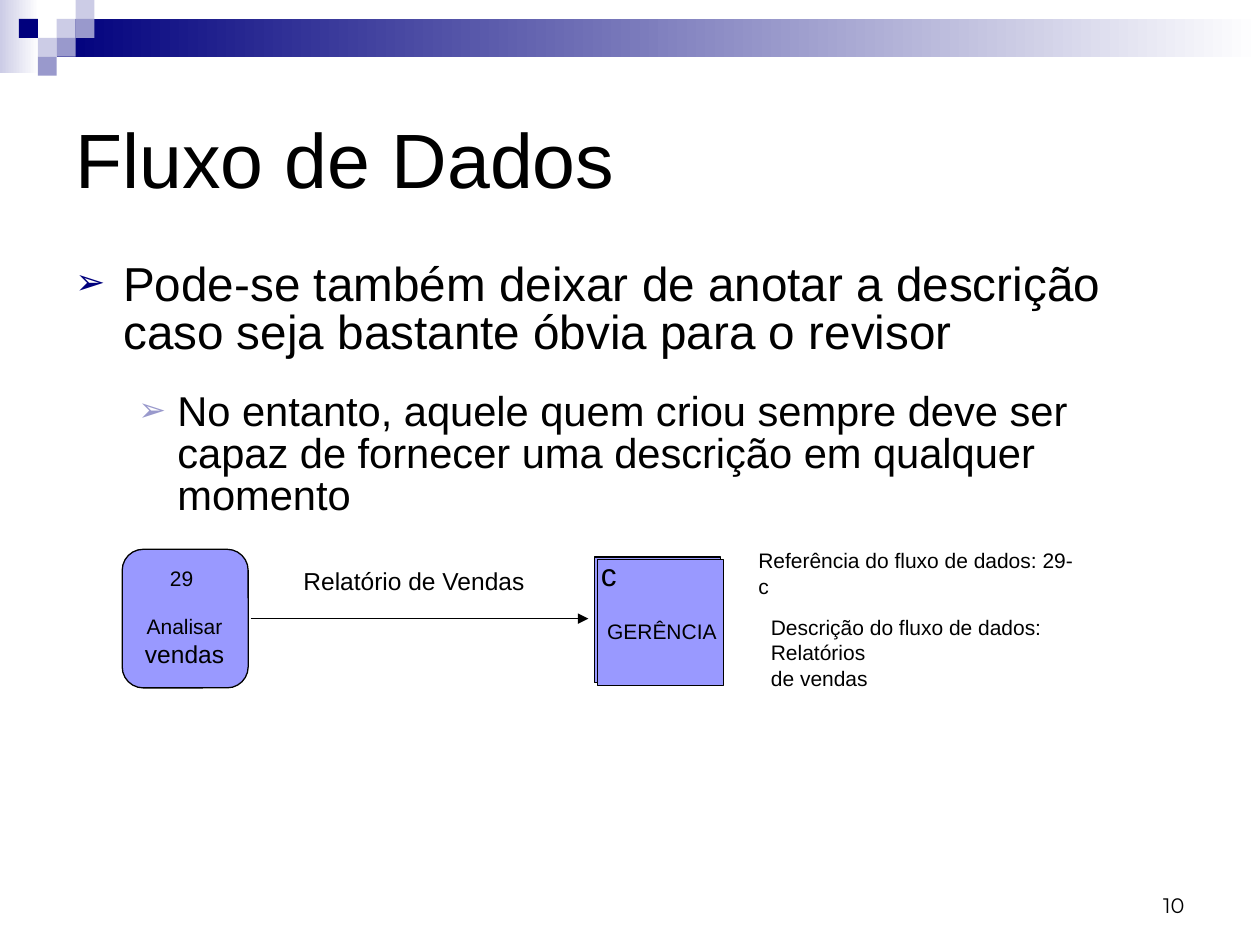
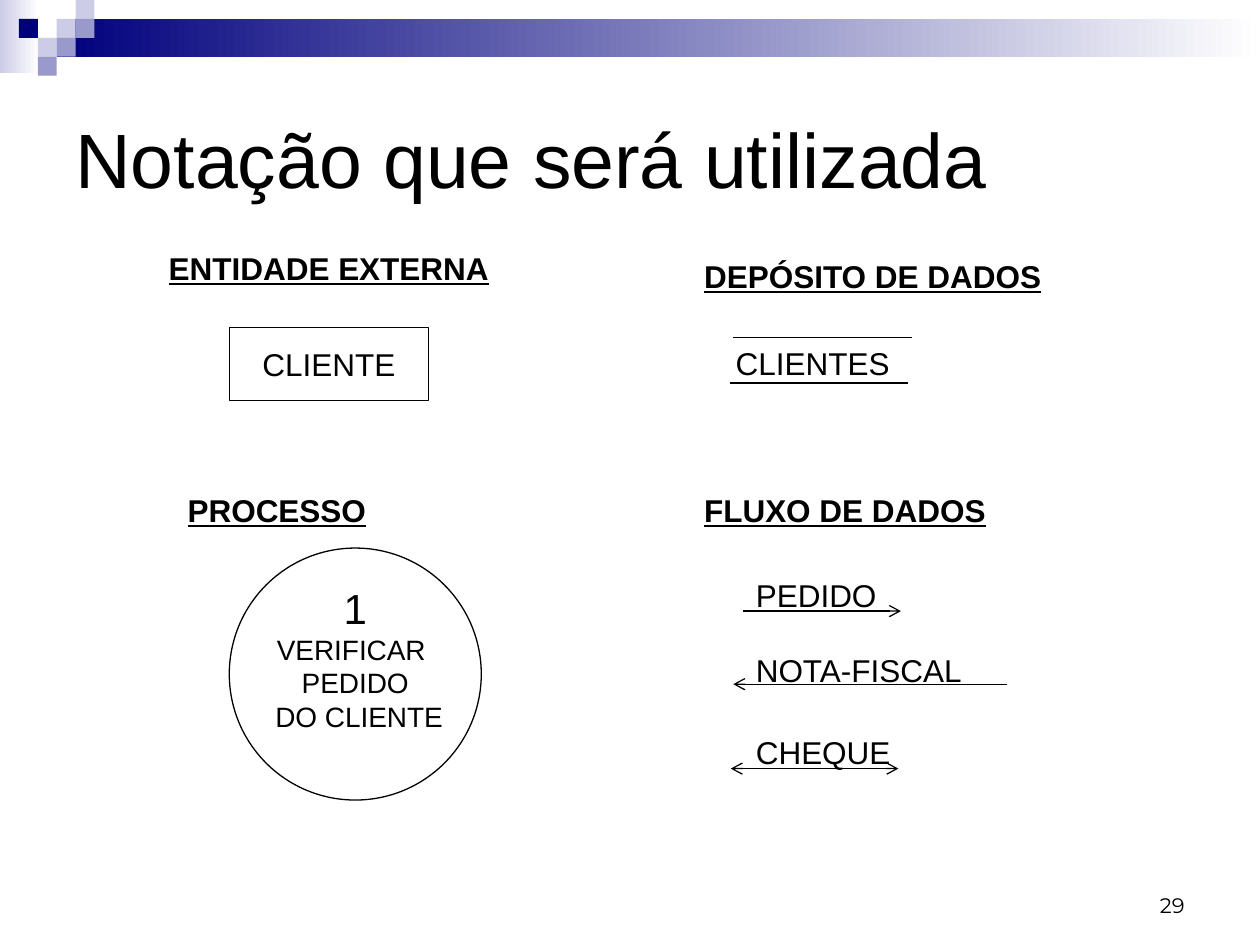
import lxml.etree
import pptx
import pptx.dml.color
import pptx.enum.shapes
import pptx.enum.text
import pptx.oxml.ns
import pptx.util

RGB = pptx.dml.color.RGBColor
NAVY = RGB(0x00, 0x00, 0x7D)
MID = RGB(0x99, 0x99, 0xCC)
PALE = RGB(0xCC, 0xCC, 0xE6)
LILAC = RGB(0x99, 0x99, 0xFF)
WHITE = RGB(0xFF, 0xFF, 0xFF)
BLACK = RGB(0x00, 0x00, 0x00)

COLS, ROWS = 100, 75
TILE = 1.5
TILES = [(3, 1, PALE), (4, 0, PALE), (4, 1, MID), (2, 2, PALE),
         (1, 1, NAVY), (3, 2, MID), (2, 3, MID)]

SHAPE = pptx.enum.shapes.MSO_SHAPE
ALIGN = pptx.enum.text.PP_ALIGN
ANCHOR = pptx.enum.text.MSO_ANCHOR


def add_tag(node, name, **attrs):
    return lxml.etree.SubElement(node, pptx.oxml.ns.qn(name), attrs)


class Deck:
    """Holds the style and the current slide; lengths are grid columns and rows."""

    font = "Arial"
    line = 0.75

    def __init__(self):
        self.file = pptx.Presentation()
        self.file.slide_width = pptx.util.Inches(10)
        self.file.slide_height = pptx.util.Inches(7.5)
        self.page = None

    def x(self, col):
        return round(self.file.slide_width * col / COLS)

    def y(self, row):
        return round(self.file.slide_height * row / ROWS)

    def area(self, col, row, wide, high):
        return self.x(col), self.y(row), self.x(wide), self.y(high)

    def start(self, title, number):
        self.page = self.file.slides.add_slide(self.file.slide_layouts[6])
        self.fade(0, 0, 3.1, 5.8, PALE)
        self.fade(4.5, 1.5, 95.5, 3, NAVY)
        for col, row, color in TILES:
            self.shape(col * TILE, row * TILE, TILE, TILE, color, edge=False)
        self.text(5, 5, 90, 15, [title], 44, anchor=ANCHOR.MIDDLE)
        self.text(71.7, 68.3, 23.3, 5, [number], 12, align=ALIGN.RIGHT,
                  anchor=ANCHOR.BOTTOM, font="Montserrat")

    def shape(self, col, row, wide, high, color, kind=SHAPE.RECTANGLE, edge=True):
        item = self.page.shapes.add_shape(kind, *self.area(col, row, wide, high))
        item.shadow.inherit = False
        item.fill.solid()
        item.fill.fore_color.rgb = color
        if edge:
            item.line.color.rgb = BLACK
            item.line.width = pptx.util.Pt(self.line)
        else:
            item.line.fill.background()
        return item

    def fade(self, col, row, wide, high, color):
        item = self.shape(col, row, wide, high, color, edge=False)
        item.fill.gradient()
        item.fill.gradient_angle = 0
        for stop, tone in zip(item.fill.gradient_stops, (color, WHITE)):
            stop.color.rgb = tone

    def run(self, para, words, size, bold=False, font=None):
        run = para.add_run()
        run.text = words
        run.font.size = pptx.util.Pt(size)
        run.font.name = font or self.font
        run.font.color.rgb = BLACK
        if bold:
            run.font.bold = run.font.underline = True

    def fill(self, item, lines, size, align=ALIGN.LEFT, anchor=ANCHOR.TOP,
             wrap=True, **style):
        """Each line is its words, or a pair of words and size."""
        frame = item.text_frame
        frame.word_wrap = wrap
        frame.vertical_anchor = anchor
        for i, entry in enumerate(lines):
            words, points = entry if isinstance(entry, tuple) else (entry, size)
            para = frame.add_paragraph() if i else frame.paragraphs[0]
            para.alignment = align
            self.run(para, words, points, **style)
        return frame

    def text(self, col, row, wide, high, lines, size, **style):
        item = self.page.shapes.add_textbox(*self.area(col, row, wide, high))
        return self.fill(item, lines, size, **style)

    def list(self, col, row, wide, high, items):
        box = self.page.shapes.add_textbox(*self.area(col, row, wide, high))
        frame = box.text_frame
        frame.word_wrap = True
        for i, (words, size, color, left, hang, scale) in enumerate(items):
            para = frame.add_paragraph() if i else frame.paragraphs[0]
            props = para._p.get_or_add_pPr()
            props.set("marL", str(self.x(left)))
            props.set("indent", str(-self.x(hang)))
            tint = add_tag(props, "a:buClr")
            add_tag(tint, "a:srgbClr", val=str(color))
            add_tag(props, "a:buSzPct", val=str(scale * 1000))
            add_tag(props, "a:buFont", typeface=self.font)
            add_tag(props, "a:buChar", char="➢")
            para.line_spacing = 0.84
            para.space_after = pptx.util.Pt(12)
            if i:
                para.space_before = pptx.util.Pt(7)
            self.run(para, words, size)

    def link(self, start, end, row, head=None, tail=None):
        item = self.page.shapes.add_connector(
            pptx.enum.shapes.MSO_CONNECTOR.STRAIGHT,
            self.x(start), self.y(row), self.x(end), self.y(row))
        item.line.color.rgb = BLACK
        item.line.width = pptx.util.Pt(self.line)
        stroke = item.line._get_or_add_ln()
        for name, kind in (("a:headEnd", head), ("a:tailEnd", tail)):
            if kind:
                add_tag(stroke, name, type=kind)
        add_tag(item._element.spPr, "a:effectLst")


def draw_flow(deck):
    deck.start("Fluxo de Dados", "10")
    deck.list(5, 20.4, 90, 21.3, [
        ("Pode-se também deixar de anotar a descrição caso seja bastante "
         "óbvia para o revisor", 27.2, NAVY, 3.8, 3.8, 75),
        ("No entanto, aquele quem criou sempre deve ser capaz de fornecer "
         "uma descrição em qualquer momento", 23.8, MID, 8.1, 3.1, 80)])

    # External entity, drawn as two offset squares
    for shift in (0, 0.2):
        deck.shape(47.2 + shift, 44.2 + shift, 10, 10, LILAC)
    deck.text(46.7, 43.6, 3.3, 4, ["c"], 18, wrap=False)
    deck.text(47.2, 48.6, 10.7, 3, ["GERÊNCIA"], 12, wrap=False)

    # Process
    deck.shape(9.7, 43.6, 10, 11, LILAC, SHAPE.FLOWCHART_ALTERNATE_PROCESS)
    deck.text(12.5, 44.4, 3.9, 3, ["29"], 12, wrap=False)
    deck.text(10.5, 48.2, 8.3, 5.3, ["Analisar", ("vendas", 14)], 12,
              align=ALIGN.CENTER, wrap=False)

    # Flow and its description
    deck.link(19.9, 46.7, 49.1, tail="triangle")
    deck.text(23.1, 44.4, 19.6, 3.3, ["Relatório de Vendas"], 14, wrap=False)
    deck.text(59.2, 43, 27.5, 3, ["Referência do fluxo de dados: 29-c"], 12)
    deck.text(60.2, 48.3, 31.4, 5,
              ["Descrição do fluxo de dados: Relatórios", "de vendas"], 12)


def draw_signs(deck):
    deck.start("Notação que será utilizada", "29")
    for col, row, wide, words in [(12.4, 19.3, 29.2, "ENTIDADE EXTERNA"),
                                  (54.9, 19.9, 40, "DEPÓSITO DE DADOS"),
                                  (13.9, 38.5, 28.5, "PROCESSO"),
                                  (54.9, 38.5, 33.3, "FLUXO DE DADOS")]:
        deck.text(col, row, wide, 4, [words], 18, bold=True)

    # External entity
    client = deck.shape(18.2, 26, 15.8, 5.8, WHITE)
    deck.fill(client, ["CLIENTE"], 18, align=ALIGN.CENTER,
              anchor=ANCHOR.MIDDLE, wrap=False)

    # Process
    ring = deck.shape(18.2, 43.5, 20, 20, WHITE, SHAPE.OVAL)
    frame = deck.fill(ring, [("1", 24), "VERIFICAR ", "PEDIDO", " DO CLIENTE"],
                      16, align=ALIGN.CENTER, anchor=ANCHOR.MIDDLE, wrap=False)
    frame.margin_bottom = deck.y(3.1)

    # Data store
    deck.text(57.4, 26.8, 15, 4, ["CLIENTES"], 18)
    deck.link(58.2, 72.4, 26.8)
    deck.link(57.9, 72.1, 30.4)

    # Data flows
    for words, top, start, end, row, head, tail in [
            ("PEDIDO", 45.2, 59, 71.5, 48.5, None, "arrow"),
            ("NOTA-FISCAL", 51.2, 58.2, 79.9, 54.3, "arrow", None),
            ("CHEQUE", 57.7, 58, 71.3, 61, "arrow", "arrow")]:
        deck.text(59, top, 20.8, 4, [words], 18)
        deck.link(start, end, row, head, tail)


def main():
    deck = Deck()
    draw_flow(deck)
    draw_signs(deck)
    deck.file.save("out.pptx")


if __name__ == "__main__":
    main()
